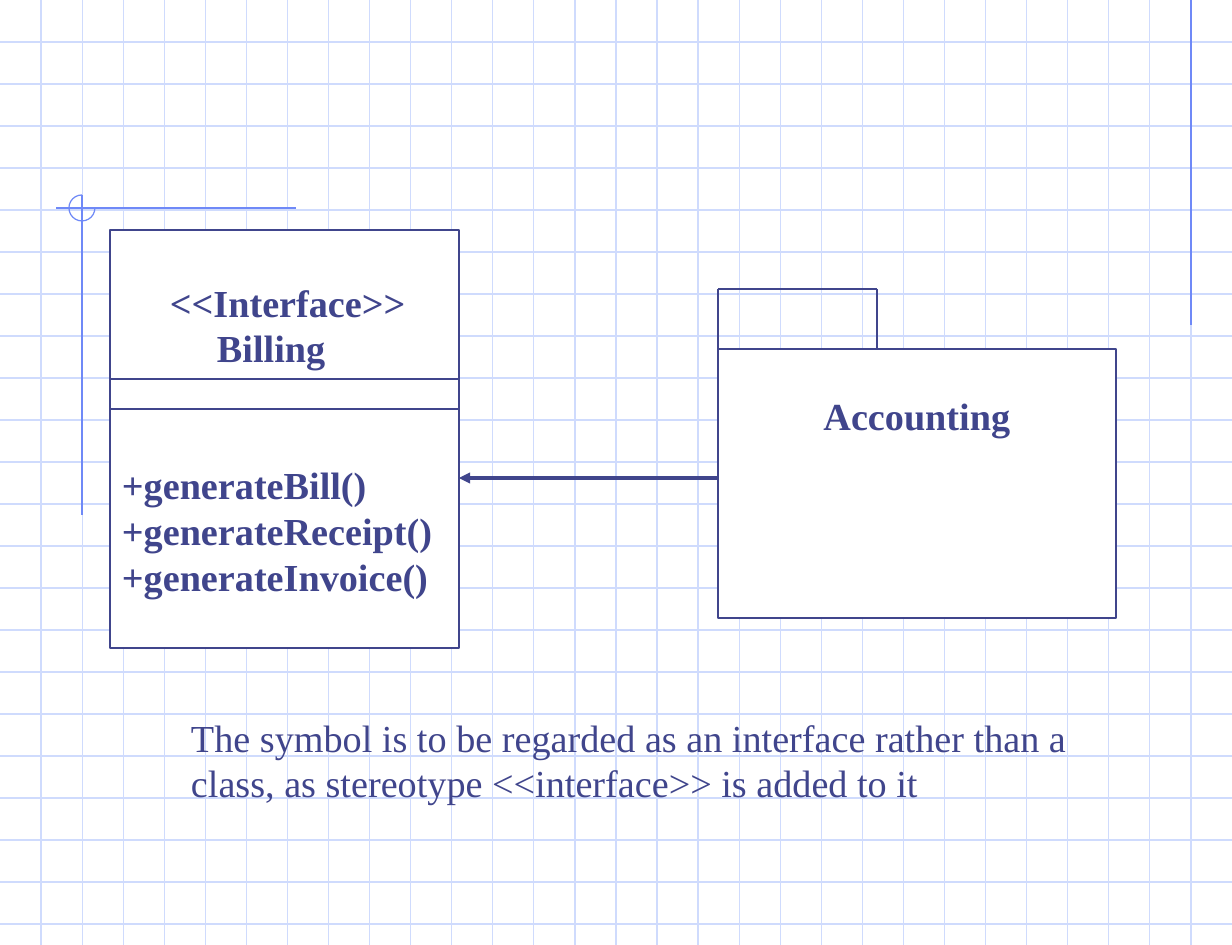
from dataclasses import dataclass

from lxml.etree import SubElement
from pptx import Presentation
from pptx.dml.color import RGBColor
from pptx.enum.shapes import MSO_CONNECTOR, MSO_SHAPE
from pptx.enum.text import MSO_ANCHOR, PP_ALIGN
from pptx.oxml.ns import qn
from pptx.util import Emu, Pt


@dataclass(frozen=True)
class Theme:
    ink: str = "40458C"
    accent: str = "6F89F7"
    grid: str = "CFDBFD"
    paper: str = "FFFFFF"
    font: str = "Times New Roman"
    size: float = 23
    leading: float = 27.5
    thin: float = 0.75
    thick: float = 2.25


THEME = Theme()
PX = 914400 / 119.6
W, H = 1232, 945
COLUMNS, ROWS = 30, 22.5
PAD_X, PAD_Y = 12, 6

# Boxes are left, top, width, height
CAPTION = ("The symbol is to be regarded as an interface rather than a class, "
           "as stereotype <<interface>> is added to it")
CAPTION_BOX = (179, 708, 947, 104)

PACKAGE_NAME = "Accounting"
PACKAGE_BOX = (718, 349, 398, 269)
PACKAGE_TAB = (159, 60)
PACKAGE_TEXT_TOP = 43

# Text, indent in px, space before in pt
INTERFACE_LINES = [
    ("<<Interface>>", 48, 0),
    ("Billing", 95, 0),
    ("+generateBill()", 0, 55),
    ("+generateReceipt()", 0, 0),
    ("+generateInvoice()", 0, 0),
]
INTERFACE_BOX = (110, 230, 349, 418)
INTERFACE_TEXT_TOP = 49
DIVIDERS = (379, 409)
ARROW_Y = 478

MARK_X, MARK_Y, MARK_RADIUS = 82, 208, 13
ACCENT_LINES = [
    (1191, 0, 1191, 325),
    (296, MARK_Y, 56, MARK_Y),
    (MARK_X, MARK_Y - MARK_RADIUS, MARK_X, 515),
]


def px(n):
    return Emu(round(n * PX))


def rgb(color):
    return RGBColor.from_string(color)


def add_line(s, x1, y1, x2, y2, color, width=THEME.thin, arrow=False):
    line = s.shapes.add_connector(MSO_CONNECTOR.STRAIGHT, px(x1), px(y1), px(x2), px(y2))
    line.line.color.rgb = rgb(color)
    line.line.width = Pt(width)
    if arrow:
        SubElement(line.line._get_or_add_ln(), qn("a:tailEnd"), type="triangle")
    SubElement(line._element.spPr, qn("a:effectLst"))


def add_outlined(s, kind, box, color, fill=None):
    sp = s.shapes.add_shape(kind, *map(px, box))
    sp.shadow.inherit = False
    sp.line.color.rgb = rgb(color)
    sp.line.width = Pt(THEME.thin)
    if fill:
        sp.fill.solid()
        sp.fill.fore_color.rgb = rgb(fill)
    else:
        sp.fill.background()
    return sp


def write(sp, lines, top=PAD_Y, align=PP_ALIGN.LEFT, bold=False):
    """Fill a shape with (text, indent, space before) lines, starting at top."""
    tf = sp.text_frame
    tf.word_wrap = True
    tf.vertical_anchor = MSO_ANCHOR.TOP
    tf.margin_left = tf.margin_right = px(PAD_X)
    tf.margin_top, tf.margin_bottom = px(top), px(PAD_Y)
    tf.text = "\n".join(text for text, _, _ in lines)
    for p, (_, indent, before) in zip(tf.paragraphs, lines):
        p.alignment = align
        p.line_spacing = Pt(THEME.leading)
        if before:
            p.space_before = Pt(before)
        if indent:
            p._p.get_or_add_pPr().set("marL", str(px(indent)))
        for r in p.runs:
            r.font.name = THEME.font
            r.font.size = Pt(THEME.size)
            r.font.bold = bold
            r.font.color.rgb = rgb(THEME.ink)


def draw_background(s):
    for i in range(1, int(ROWS) + 1):
        y = H * i / ROWS
        add_line(s, 0, y, W, y, THEME.grid)
    for i in range(1, COLUMNS):
        x = W * i / COLUMNS
        add_line(s, x, 0, x, H, THEME.grid)
    for ends in ACCENT_LINES:
        add_line(s, *ends, THEME.accent)
    box = (MARK_X - MARK_RADIUS, MARK_Y - MARK_RADIUS, 2 * MARK_RADIUS, 2 * MARK_RADIUS)
    arc = add_outlined(s, MSO_SHAPE.ARC, box, THEME.accent)
    arc.adjustments[0] = 0
    arc.adjustments[1] = 162  # 270 degrees


def draw_package(s):
    sp = add_outlined(s, MSO_SHAPE.RECTANGLE, PACKAGE_BOX, THEME.ink, THEME.paper)
    write(sp, [(PACKAGE_NAME, 0, 0)], PACKAGE_TEXT_TOP, PP_ALIGN.CENTER, bold=True)
    x, y = PACKAGE_BOX[:2]
    tab_w, tab_h = PACKAGE_TAB
    corners = [(x, y), (x, y - tab_h), (x + tab_w, y - tab_h), (x + tab_w, y)]
    for start, end in zip(corners, corners[1:]):
        add_line(s, *start, *end, THEME.ink)


def draw_interface(s):
    sp = add_outlined(s, MSO_SHAPE.RECTANGLE, INTERFACE_BOX, THEME.ink, THEME.paper)
    write(sp, INTERFACE_LINES, INTERFACE_TEXT_TOP, bold=True)
    left, _, width, _ = INTERFACE_BOX
    for y in DIVIDERS:
        add_line(s, left, y, left + width, y, THEME.ink)
    add_line(s, PACKAGE_BOX[0], ARROW_Y, left + width, ARROW_Y,
             THEME.ink, THEME.thick, arrow=True)


def main():
    prs = Presentation()
    prs.slide_width, prs.slide_height = px(W), px(H)
    s = prs.slides.add_slide(prs.slide_layouts[6])
    draw_background(s)
    write(s.shapes.add_textbox(*map(px, CAPTION_BOX)), [(CAPTION, 0, 0)])
    draw_package(s)
    draw_interface(s)
    prs.save("out.pptx")


if __name__ == "__main__":
    main()
